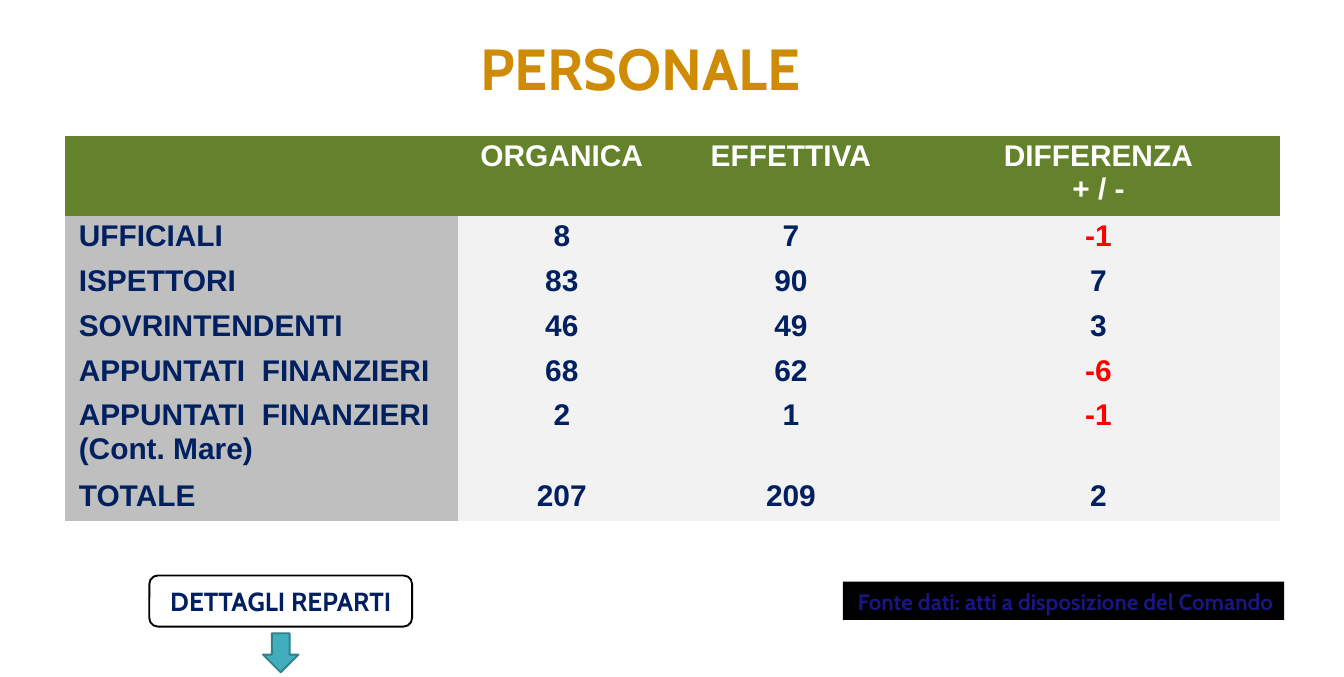
from pptx import Presentation
from pptx.dml.color import RGBColor
from pptx.enum.shapes import MSO_SHAPE
from pptx.enum.text import MSO_ANCHOR, MSO_AUTO_SIZE, PP_ALIGN
from pptx.oxml.ns import qn
from pptx.util import Pt

LEFT, CENTER, RIGHT = PP_ALIGN.LEFT, PP_ALIGN.CENTER, PP_ALIGN.RIGHT
TOP, MIDDLE = MSO_ANCHOR.TOP, MSO_ANCHOR.MIDDLE
NO_AUTOFIT = MSO_AUTO_SIZE.NONE
RECTANGLE = MSO_SHAPE.RECTANGLE
ROUNDED = MSO_SHAPE.ROUNDED_RECTANGLE
DOWN_ARROW = MSO_SHAPE.DOWN_ARROW

TITLE_FONT, TABLE_FONT = "Cabin", "Arial"
WHITE, BLACK, NAVY, RED = "FFFFFF", "000000", "002060", "FF0000"
GOLD, SOURCE_BLUE = "CF8B03", "19167F"
HEADER_GREEN, LABEL_GREY, VALUE_GREY = "64812C", "BFBFBF", "F2F2F2"
ARROW_TEAL, ARROW_EDGE = "41AEBD", "30818C"
PLAIN_TABLE_STYLE = "{2D5ABB26-0587-4C30-8999-92F81FD0307C}"

COLUMN_WIDTHS = [421, 222, 269, 390]
ROW_HEIGHT, TALL_ROW_HEIGHT = 48, 86.4
TALL_ROWS = {0, 5}
STAFF = [
    ["", "ORGANICA", "EFFETTIVA", "DIFFERENZA\n+ / -"],
    ["UFFICIALI", "8", "7", "-1"],
    ["ISPETTORI", "83", "90", "7"],
    ["SOVRINTENDENTI", "46", "49", "3"],
    ["APPUNTATI  FINANZIERI", "68", "62", "-6"],
    ["APPUNTATI  FINANZIERI (Cont. Mare)", "2", "1", "-1"],
    ["TOTALE", "207", "209", "2"],
]


def color(hex_code):
    return RGBColor.from_string(hex_code)


def fill(item, hex_code):
    item.fill.solid()
    item.fill.fore_color.rgb = color(hex_code)


def set_margins(item, side, vertical):
    item.margin_left = item.margin_right = Pt(side)
    item.margin_top = item.margin_bottom = Pt(vertical)


def write(frame, text, font, size, hex_code, align):
    frame.text = text
    for para in frame.paragraphs:
        para.alignment = align
        for span in para.runs:
            span.font.name = font
            span.font.size = Pt(size)
            span.font.bold = True
            span.font.color.rgb = color(hex_code)


def write_box(shape, text, size, hex_code, align, anchor=TOP):
    frame = shape.text_frame
    frame.word_wrap = True
    frame.auto_size = NO_AUTOFIT
    frame.vertical_anchor = anchor
    set_margins(frame, 12, 6.5)
    write(frame, text, TITLE_FONT, size, hex_code, align)


def add_block(page, kind, box, fill_color, line_color=None):
    shape = page.shapes.add_shape(kind, *map(Pt, box))
    shape.shadow.inherit = False
    fill(shape, fill_color)
    if line_color:
        shape.line.color.rgb = color(line_color)
        shape.line.width = Pt(2)
    else:
        shape.line.fill.background()
    return shape


def place_title(page, box):
    title = page.shapes.title
    title.left, title.top, title.width, title.height = map(Pt, box)
    # The trailing space is part of the centred heading
    write_box(title, "PERSONALE ", 62, GOLD, CENTER)


def cell_colors(row, column, text):
    """Return the fill and the text colour of a cell."""
    if row == 0:
        return HEADER_GREEN, WHITE
    if column == 0:
        return LABEL_GREY, NAVY
    return VALUE_GREY, RED if text.startswith("-") else NAVY


def place_staff_table(page, left, top):
    heights = [TALL_ROW_HEIGHT if row in TALL_ROWS else ROW_HEIGHT
               for row in range(len(STAFF))]
    table = page.shapes.add_table(
        len(STAFF), len(COLUMN_WIDTHS), Pt(left), Pt(top),
        Pt(sum(COLUMN_WIDTHS)), Pt(sum(heights))).table
    table.horz_banding = False
    table._tbl.tblPr.find(qn("a:tableStyleId")).text = PLAIN_TABLE_STYLE
    for column, width in zip(table.columns, COLUMN_WIDTHS):
        column.width = Pt(width)
    for row, height in zip(table.rows, heights):
        row.height = Pt(height)
    for row, texts in enumerate(STAFF):
        for column, text in enumerate(texts):
            cell = table.cell(row, column)
            fill_color, text_color = cell_colors(row, column, text)
            fill(cell, fill_color)
            set_margins(cell, 14.4, 3.6)
            write(cell.text_frame, text, TABLE_FONT, 32, text_color,
                  CENTER if column else LEFT)


def place_source_note(page, box):
    note = add_block(page, RECTANGLE, box, BLACK)
    write_box(note, "Fonte dati: atti a disposizione del Comando",
              24, SOURCE_BLUE, RIGHT)


def place_details_button(page, box):
    left, top, width, height = box
    button = add_block(page, ROUNDED, box, WHITE, BLACK)
    write_box(button, "DETTAGLI REPARTI", 28, NAVY, CENTER, MIDDLE)
    # Arrow centred below the button
    arrow_width, arrow_height, gap = 38, 41.8, 7.2
    arrow_box = (left + (width - arrow_width) / 2, top + height + gap,
                 arrow_width, arrow_height)
    add_block(page, DOWN_ARROW, arrow_box, ARROW_TEAL, ARROW_EDGE)


def main():
    deck = Presentation()
    deck.slide_width, deck.slide_height = Pt(1440), Pt(725)
    page = deck.slides.add_slide(deck.slide_layouts[5])
    place_source_note(page, (903, 623, 473, 41))
    place_staff_table(page, 70, 145.2)
    place_title(page, (160, 28, 1066, 87))
    place_details_button(page, (160, 616.3, 281.5, 54.7))
    deck.save("out.pptx")


if __name__ == "__main__":
    main()
